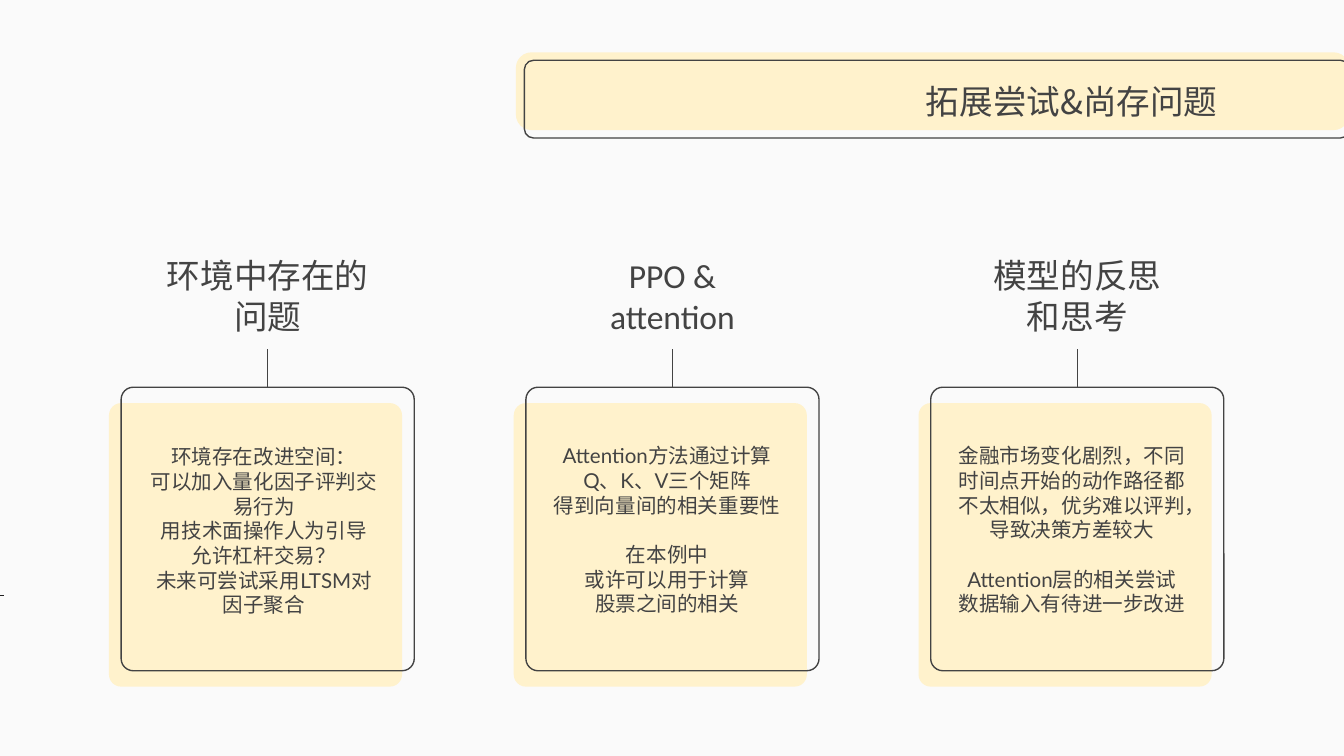
"""Build a slide of three framed topic cards under a title banner."""
from dataclasses import dataclass

from lxml import etree
from pptx import Presentation
from pptx.dml.color import RGBColor
from pptx.enum.shapes import MSO_CONNECTOR, MSO_SHAPE
from pptx.enum.text import MSO_ANCHOR, PP_ALIGN
from pptx.oxml.ns import qn
from pptx.util import Cm, Pt

ROUND = MSO_SHAPE.ROUNDED_RECTANGLE
LINE = MSO_CONNECTOR.STRAIGHT
TOP, MIDDLE, BOTTOM = MSO_ANCHOR.TOP, MSO_ANCHOR.MIDDLE, MSO_ANCHOR.BOTTOM
CENTER, RIGHT = PP_ALIGN.CENTER, PP_ALIGN.RIGHT


@dataclass(frozen=True)
class Theme:
    """Colours, fonts and point sizes of the slide."""
    back: str = "FAFAFA"
    cream: str = "FFF2CC"
    ink: str = "434343"
    dark: str = "1F1F1F"
    head: str = "Calibri"
    body: str = "Lato"
    title: str = "Noto Sans CJK SC"
    large: float = 18
    small: float = 11
    gap: float = 13.2
    rule: float = 0.75
    hair: float = 0.3


THEME = Theme()
STEP = 7.65
AXIS = 5.06

CARDS = [
    dict(head="环境中存在的\n问题", width=5.28, box=(2.59, 8.15, 4.8, 3.81), groups=[
        ["环境存在改进空间：", "可以加入量化因子评判交易行为", "用技术面操作人为引导",
         "允许杠杆交易？", "未来可尝试采用LTSM对因子聚合"]]),
    dict(head="PPO &\nattention", width=3.96, box=(2.42, 8.13, 5.08, 3.9), groups=[
        ["Attention方法通过计算", "Q、K、V三个矩阵", "得到向量间的相关重要性"],
        ["在本例中", "或许可以用于计算", "股票之间的相关"]]),
    dict(head="模型的反思\n和思考", width=3.96, box=(2.42, 8.13, 5.08, 4.65), groups=[
        ["金融市场变化剧烈，不同时间点开始的动作路径都不太相似，优劣难以评判，导致决策方差较大"],
        ["Attention层的相关尝试", "数据输入有待进一步改进"]]),
]


def color(code):
    """Turn a hex code into a colour."""
    return RGBColor.from_string(code)


def add_text(slide, groups, box, *, font, size, align=CENTER, anchor=TOP):
    """Write groups of paragraphs, set apart by one line of space."""
    frame = slide.shapes.add_textbox(*map(Cm, box)).text_frame
    frame.word_wrap = True
    frame.vertical_anchor = anchor
    frame.margin_left = frame.margin_right = Cm(0.25)
    frame.margin_top = frame.margin_bottom = Cm(0.25)
    lines = [(text, i > 0 and j == 0)
             for i, group in enumerate(groups) for j, text in enumerate(group)]
    for n, (text, apart) in enumerate(lines):
        para = frame.add_paragraph() if n else frame.paragraphs[0]
        para.text = text
        para.alignment = align
        if apart:
            para.space_before = Pt(THEME.gap)
        for run in para.runs:
            run.font.name = font
            run.font.size = Pt(size)
            run.font.color.rgb = color(THEME.ink)


def add_panel(slide, box, bend, *, fill=None):
    """Draw a rounded panel, filled or outlined."""
    panel = slide.shapes.add_shape(ROUND, *map(Cm, box))
    panel.shadow.inherit = False
    panel.adjustments[0] = bend
    if fill:
        panel.fill.solid()
        panel.fill.fore_color.rgb = color(fill)
        panel.line.fill.background()
    else:
        panel.fill.background()
        panel.line.color.rgb = color(THEME.ink)
        panel.line.width = Pt(THEME.rule)


def add_line(slide, ends, *, ink, width):
    """Draw a plain straight line."""
    line = slide.shapes.add_connector(LINE, *map(Cm, ends))
    line.line.color.rgb = color(ink)
    line.line.width = Pt(width)
    etree.SubElement(line._element.spPr, qn("a:effectLst"))


def add_card(slide, shift, card):
    """Draw one topic: heading, stem, panels and body text."""
    axis = AXIS + shift
    add_panel(slide, (2.06 + shift, 7.62, 5.54, 5.36), 0.043, fill=THEME.cream)
    add_panel(slide, (2.29 + shift, 7.32, 5.54, 5.36), 0.043)
    add_line(slide, (axis, 6.6, axis, 7.32), ink=THEME.ink, width=THEME.rule)
    width = card["width"]
    add_text(slide, [[card["head"]]], (axis - width / 2, 4.39, width, 2.21),
             font=THEME.head, size=THEME.large, anchor=BOTTOM)
    left, *rest = card["box"]
    add_text(slide, card["groups"], (left + shift, *rest),
             font=THEME.body, size=THEME.small)


def add_banner(slide):
    """Draw the title banner."""
    add_panel(slide, (9.75, 0.99, 15.75, 1.47), 0.2, fill=THEME.cream)
    add_panel(slide, (9.91, 1.14, 15.6, 1.47), 0.12)
    add_text(slide, [["拓展尝试&尚存问题"]], (14.4, 1.24, 8.86, 1.35),
             font=THEME.title, size=THEME.large, align=RIGHT, anchor=MIDDLE)


def main():
    """Build and save the slide."""
    deck = Presentation()
    deck.slide_width, deck.slide_height = Cm(25.4), Cm(14.29)
    slide = deck.slides.add_slide(deck.slide_layouts[6])
    slide.background.fill.solid()
    slide.background.fill.fore_color.rgb = color(THEME.back)
    add_banner(slide)
    add_line(slide, (0, 11.25, 0.08, 11.25), ink=THEME.dark, width=THEME.hair)
    for n, card in enumerate(CARDS):
        add_card(slide, n * STEP, card)
    deck.save("out.pptx")


if __name__ == "__main__":
    main()
